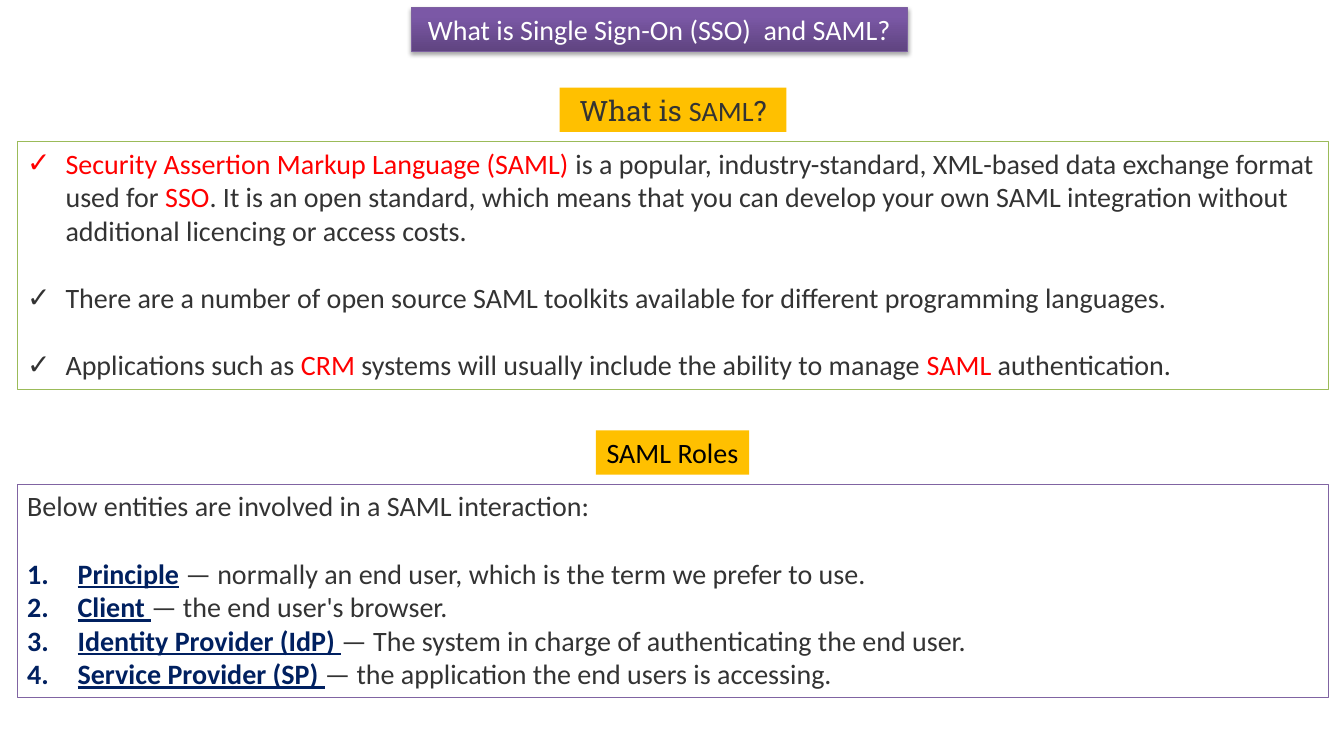
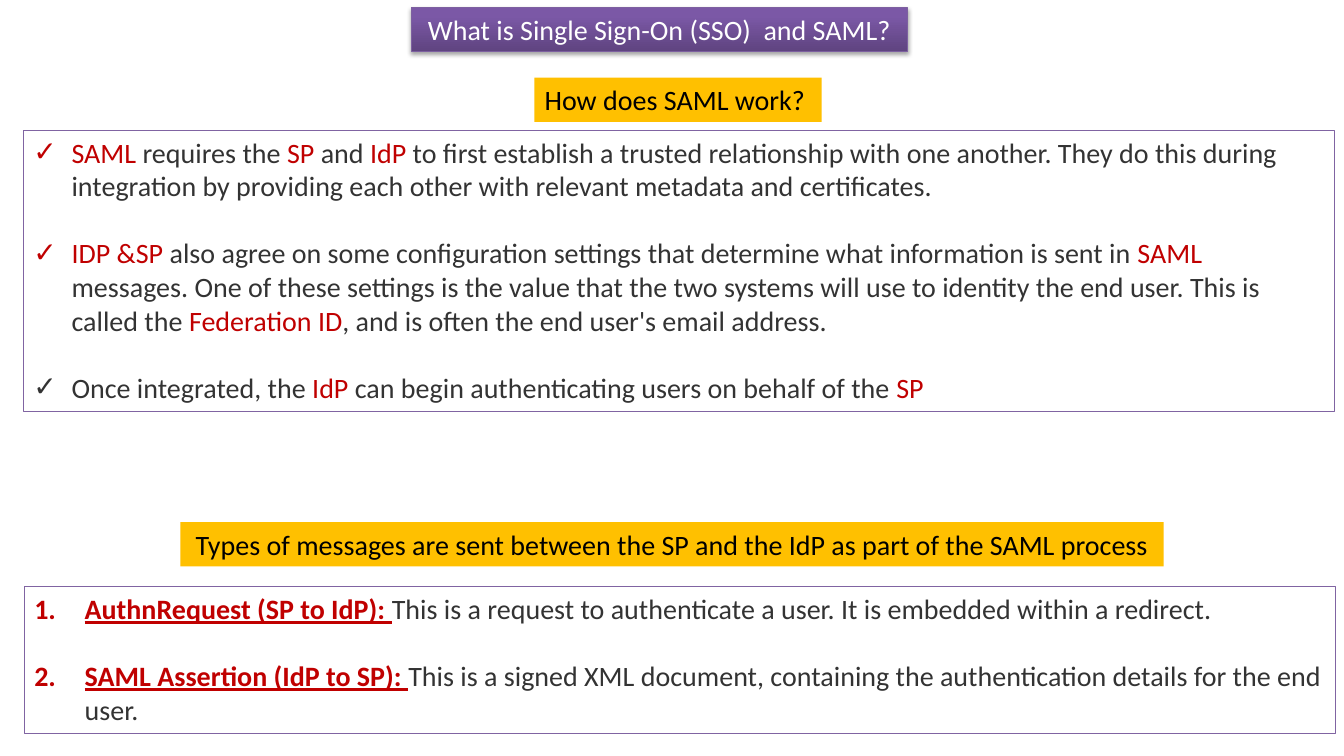
from dataclasses import dataclass

from lxml.etree import SubElement
from pptx import Presentation
from pptx.dml.color import RGBColor
from pptx.enum.shapes import MSO_SHAPE as Shape
from pptx.enum.text import MSO_ANCHOR as Anchor, MSO_AUTO_SIZE as AutoSize, PP_ALIGN as Align
from pptx.oxml.ns import qn
from pptx.util import Inches, Pt


@dataclass(frozen=True)
class Theme:
    font: str = "Calibri"
    accent_font: str = "Roboto Slab"
    size: int = 20
    line_gap: int = 24
    text: str = "333333"
    black: str = "000000"
    white: str = "FFFFFF"
    amber: str = "FFC000"
    red: str = "FF0000"
    dark_red: str = "C00000"
    navy: str = "002060"
    green: str = "9BBB59"
    purple: str = "8064A2"
    title_line: str = "7D60A0"
    title_dark: str = "5F4480"
    title_light: str = "7B58A6"


THEME = Theme()
TITLE = "What is Single Sign-On (SSO)  and SAML?"
TITLE_BOX = (4.08, 0.07, 4.92, 0.44)


@dataclass
class Panel:
    box: tuple
    items: list
    accent: str
    line: str = THEME.purple
    numbered: bool = False
    intro: str = ""
    item_gap: int = THEME.line_gap


@dataclass
class Label:
    box: tuple
    text: str
    color: str = THEME.black
    accent_words: tuple = ()


def rgb(value):
    return RGBColor.from_string(value)


def place(shape, box):
    shape.left, shape.top, shape.width, shape.height = map(Inches, box)


def paint(shape, fill, line=None, width=0.25):
    shape.fill.solid()
    shape.fill.fore_color.rgb = rgb(fill)
    if line:
        shape.line.color.rgb = rgb(line)
        shape.line.width = Pt(width)
    else:
        shape.line.fill.background()


def style(para, color):
    para.font.name = THEME.font
    para.font.size = Pt(THEME.size)
    para.font.color.rgb = rgb(color)


def add_shadow(shape):
    effects = SubElement(shape._element.spPr, qn("a:effectLst"))
    shadow = SubElement(effects, qn("a:outerShdw"), blurRad=str(Pt(3.1)),
                        dist=str(Pt(1.8)), dir="5400000", rotWithShape="0")
    color = SubElement(shadow, qn("a:srgbClr"), val=THEME.black)
    SubElement(color, qn("a:alpha"), val="35000")


def add_title(page, box):
    title = page.shapes.title
    place(title, box)
    title.fill.gradient()
    title.fill.gradient_angle = 90
    dark, light = title.fill.gradient_stops
    dark.color.rgb, dark.position = rgb(THEME.title_dark), 0
    light.color.rgb, light.position = rgb(THEME.title_light), 0.8
    title.line.color.rgb = rgb(THEME.title_line)
    title.line.width = Pt(0.75)
    add_shadow(title)
    frame = title.text_frame
    frame.text = TITLE
    frame.auto_size = AutoSize.NONE
    frame.vertical_anchor = Anchor.MIDDLE
    frame.paragraphs[0].alignment = Align.CENTER
    style(frame.paragraphs[0], THEME.white)


def add_label(page, label):
    shape = page.shapes.add_shape(Shape.RECTANGLE, *map(Inches, label.box))
    shape.shadow.inherit = False
    paint(shape, THEME.amber)
    frame = shape.text_frame
    frame.word_wrap = False
    frame.vertical_anchor = Anchor.MIDDLE
    para = frame.paragraphs[0]
    para.alignment = Align.CENTER
    style(para, label.color)
    for words in label.text.split("*"):
        span = para.add_run()
        span.text = words
        span.font.color.rgb = rgb(label.color)
        if words in label.accent_words:
            span.font.name = THEME.accent_font


def set_bullet(para, kind):
    indent = {"none": 0, "check": 0.38, "number": 0.5}[kind]
    props = para._p.get_or_add_pPr()
    props.set("marL", str(Inches(indent)))
    props.set("indent", str(Inches(-indent)))
    if kind == "none":
        SubElement(props, qn("a:buNone"))
    elif kind == "number":
        SubElement(props, qn("a:buFont"), typeface="+mj-lt")
        SubElement(props, qn("a:buAutoNum"), type="arabicPeriod")
    else:
        SubElement(props, qn("a:buChar"), char="✓")


def fill_para(para, text, kind, gap, accent):
    para.space_before = Pt(gap)
    set_bullet(para, kind)
    style(para, THEME.text)
    for order, words in enumerate(text.split("*")):
        if not words:
            continue
        span = para.add_run()
        span.text = words
        if order % 2:
            span.font.color.rgb = rgb(accent)
            if kind == "number":
                span.font.bold = span.font.underline = True


def add_panel(body, panel):
    place(body, panel.box)
    paint(body, THEME.white, panel.line)
    frame = body.text_frame
    frame.auto_size = AutoSize.NONE
    frame.vertical_anchor = Anchor.TOP
    kind = "number" if panel.numbered else "check"
    rows = [(text, kind, panel.item_gap) for text in panel.items]
    if panel.intro:
        rows[0] = (panel.items[0], kind, THEME.line_gap)
        rows.insert(0, (panel.intro, "none", 0))
    for order, (text, bullet, gap) in enumerate(rows):
        para = frame.add_paragraph() if order else frame.paragraphs[0]
        fill_para(para, text, bullet, gap if order else 0, panel.accent)


def add_page(deck, sections):
    page = deck.slides.add_slide(deck.slide_layouts[3])
    add_title(page, TITLE_BOX)
    for number, (label, panel) in enumerate(sections, start=1):
        add_panel(page.placeholders[number], panel)
        add_label(page, label)


PAGES = [
    [
        (
            Label((5.55, 0.87, 2.25, 0.44), "What is *SAML*?", THEME.text, ("What is ", "?")),
            Panel((0.17, 1.4, 13, 2.46), [
                "*Security Assertion Markup Language (SAML) *is a popular, industry-standard, "
                "XML-based data exchange format used for *SSO*. It is an open standard, which "
                "means that you can develop your own SAML integration without additional "
                "licencing or access costs.",
                "There are a number of open source SAML toolkits available for different "
                "programming languages.",
                "Applications such as *CRM* systems will usually include the ability to manage "
                "*SAML* authentication.",
            ], THEME.red, THEME.green),
        ),
        (
            Label((5.91, 4.27, 1.52, 0.44), "SAML Roles"),
            Panel((0.17, 4.8, 13, 2.12), [
                "*Principle* — normally an end user, which is the term we prefer to use.",
                "*Client *— the end user's browser.",
                "*Identity Provider (IdP) *— The system in charge of authenticating the end user.",
                "*Service Provider (SP) *— the application the end users is accessing.",
            ], THEME.navy, numbered=True, item_gap=0,
                intro="Below entities are involved in a SAML interaction:"),
        ),
    ],
    [
        (
            Label((5.3, 0.77, 2.85, 0.44), "How does SAML work? "),
            Panel((0.23, 1.29, 13, 2.79), [
                "*SAML* requires the *SP* and *IdP* to first establish a trusted relationship "
                "with one another. They do this during integration by providing each other with "
                "relevant metadata and certificates.",
                "*IDP &SP *also agree on some configuration settings that determine what "
                "information is sent in *SAML* messages. One of these settings is the value that "
                "the two systems will use to identity the end user. This is called the "
                "*Federation ID*, and is often the end user's email address.",
                "Once integrated, the *IdP* can begin authenticating users on behalf of the *SP*",
            ], THEME.dark_red),
        ),
        (
            Label((1.79, 5.18, 9.75, 0.44),
                  "Types of messages are sent between the SP and the IdP as part of the "
                  "SAML process"),
            Panel((0.24, 5.82, 13, 1.45), [
                "*AuthnRequest (SP to IdP): *This is a request to authenticate a user. "
                "It is embedded within a redirect.",
                "*SAML Assertion (IdP to SP): *This is a signed XML document, containing the "
                "authentication details for the end user.",
            ], THEME.dark_red, numbered=True),
        ),
    ],
]


def main():
    deck = Presentation()
    deck.slide_width, deck.slide_height = Inches(13.33), Inches(7.5)
    for sections in PAGES:
        add_page(deck, sections)
    deck.save("out.pptx")


if __name__ == "__main__":
    main()
